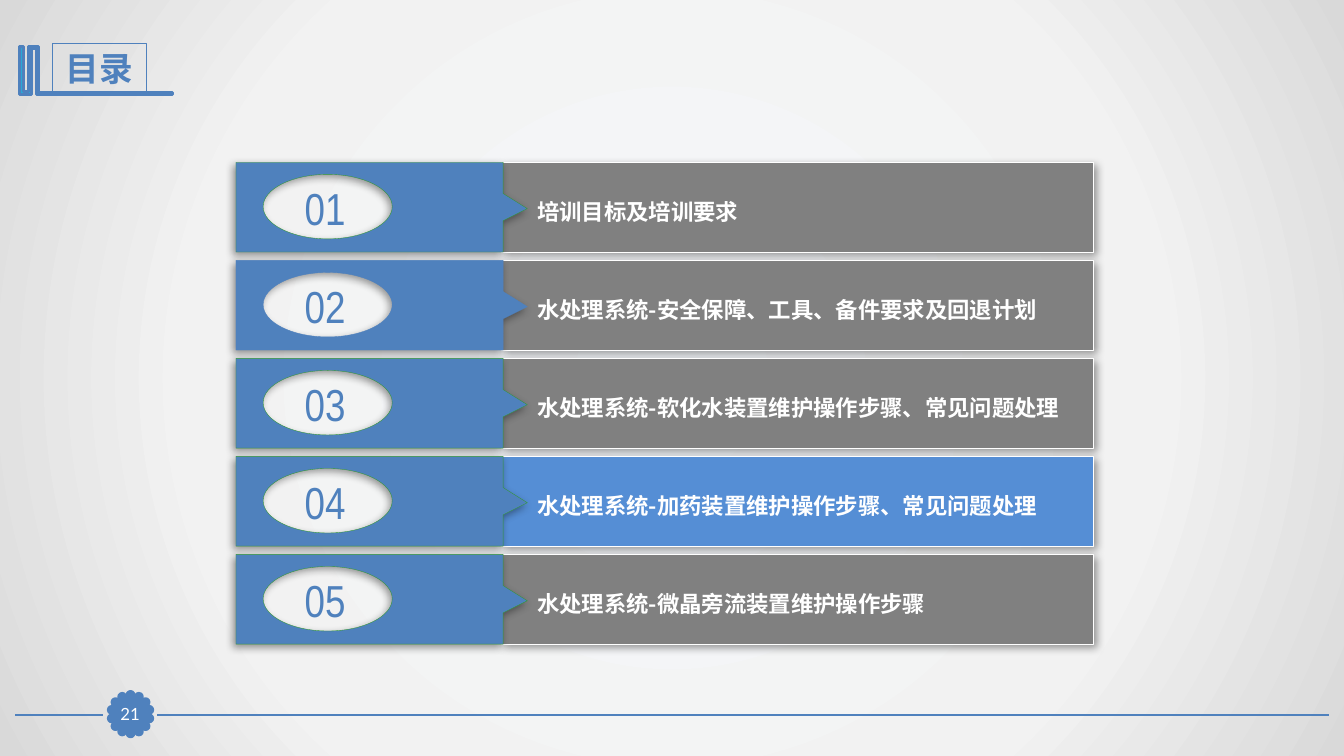
from dataclasses import dataclass
from math import cos, pi, sin
from typing import Any

from pptx import Presentation
from pptx.dml.color import RGBColor as Color
from pptx.enum.shapes import MSO_CONNECTOR as Link, MSO_SHAPE as Kind
from pptx.enum.text import MSO_ANCHOR as Anchor, MSO_AUTO_SIZE as Fit, PP_ALIGN as Align
from pptx.oxml import parse_xml
from pptx.oxml.ns import nsdecls, qn
from pptx.util import Inches, Pt

Point = tuple[float, float]


@dataclass(frozen=True)
class Theme:
    """Colours, fonts and type sizes."""
    blue: str = "4F81BD"
    glow: str = "558ED5"
    gray: str = "808080"
    green: str = "339933"
    cyan: str = "28A9D6"
    white: str = "FFFFFF"
    back: tuple = ((0, "F6F9FC"), (63, "F2F2F2"), (100, "D9D9D9"))
    slim: str = "Arial Narrow"
    sans: str = "Lato"
    asian: str = "Noto Sans CJK SC"
    title: int = 24
    digit: int = 32
    body: int = 16
    page: int = 12


@dataclass(frozen=True)
class Row:
    """One entry of the contents list."""
    lead: str
    rest: str
    fill: str
    edge: str


@dataclass(frozen=True)
class Run:
    """A piece of text with its look."""
    text: str
    face: str
    size: int
    tint: str
    bold: bool = False


T = Theme()
ROWS = (
    Row("", "培训目标及培训要求", T.gray, T.green),
    Row("水处理系统-", "安全保障、工具、备件要求及回退计划", T.gray, T.blue),
    Row("水处理系统-软化水装置", "维护操作步骤、常见问题处理", T.gray, T.green),
    Row("水处理系统-加药装置", "维护操作步骤、常见问题处理", T.glow, T.green),
    Row("水处理系统-微晶旁流装置", "维护操作步骤", T.gray, T.green),
)
FIRST, LAST = 1.61, 5.5
STEP = (LAST - FIRST) / (len(ROWS) - 1)
HIGH = 0.89
BOOK = (
    (0.37, 0.46), (0.38, 0.46), (0.38, 0.92), (1.71, 0.92), (1.71, 0.94), (0.37, 0.94), (0.36, 0.94),
    (0.36, 0.48), (0.31, 0.48), (0.31, 0.94), (0.19, 0.94), (0.19, 0.46), (0.23, 0.46),
    (0.23, 0.91), (0.28, 0.91), (0.28, 0.46),
)
OVAL = (
    (0, -1), (-0.55, -1), (-1, -0.55), (-1, 0), (-1, 0.55), (-0.55, 1), (0, 1),
    (0.55, 1), (1, 0.55), (1, 0), (1, -0.55), (0.55, -1), (0, -1),
)
FLAG = ((2.34, 0), (4.99, 0), (4.99, 0.31), (5.23, 0.46), (4.99, 0.58), (4.99, HIGH), (2.34, HIGH))
PETALS = 14
HUB = (1.29, 7.08)


def apply(item: Any, look: dict[str, Any]) -> None:
    """Set every attribute named in the look."""
    for name, value in look.items():
        setattr(item, name, value)


def paint(shape: Any, fill: str | None, edge: str, width: float, angle: int | None = None) -> None:
    """Set fill, outline and an optional soft shadow."""
    if fill:
        shape.fill.solid()
        shape.fill.fore_color.rgb = Color.from_string(fill)
    else:
        shape.fill.background()
    shape.line.color.rgb = Color.from_string(edge)
    shape.line.width = Pt(width)
    shape.shadow.inherit = False
    if angle is not None:
        shape._element.spPr.find(qn("a:effectLst")).append(parse_xml(
            f'<a:outerShdw {nsdecls("a")} blurRad="{Pt(6)}" dist="{Pt(3)}" dir="{angle * 60000}" '
            'algn="ctr" rotWithShape="0"><a:srgbClr val="000000"><a:alpha val="40000"/>'
            '</a:srgbClr></a:outerShdw>'))


def write(shape: Any, runs: list[Run], align: Align, look: dict[str, Any]) -> None:
    """Fill a shape with one paragraph of styled runs."""
    frame = shape.text_frame
    apply(frame, {"word_wrap": True} | look)
    para = frame.paragraphs[0]
    para.alignment = align
    for part in runs:
        run = para.add_run()
        run.text = part.text
        apply(run.font, {"name": part.face, "size": Pt(part.size), "bold": part.bold})
        run.font.color.rgb = Color.from_string(part.tint)
        run.font._element.find(qn("a:latin")).addnext(
            parse_xml(f'<a:ea {nsdecls("a")} typeface="{T.asian}"/>'))


def box(shapes: Any, kind: Kind, *place: float) -> Any:
    """Add a preset shape at a place in inches."""
    return shapes.add_shape(kind, *map(Inches, place))


def label(shapes: Any, *place: float) -> Any:
    """Add a text box at a place in inches."""
    return shapes.add_textbox(*map(Inches, place))


def trace(shapes: Any, *loops: tuple[Point, ...]) -> Any:
    """Build a closed outline from loops of points."""
    pens = [[(Inches(x), Inches(y)) for x, y in loop] for loop in loops]
    form = shapes.build_freeform(*pens[0][0])
    for turn, pen in enumerate(pens):
        if turn:
            form.move_to(*pen[0])
        form.add_line_segments(pen[1:], close=False)
        form._add_close()
    return form.convert_to_shape()


def bend(shape: Any, count: int) -> None:
    """Turn the first count line steps into curves of three points."""
    steps = list(shape._element.iter(qn("a:lnTo")))[:count]
    for start in range(0, count, 3):
        curve = parse_xml(f'<a:cubicBezTo {nsdecls("a")}/>')
        steps[start].addprevious(curve)
        for step in steps[start:start + 3]:
            curve.append(step[0])
            step.getparent().remove(step)


def rule(shapes: Any, left: float, right: float, top: float, tint: str, width: float) -> None:
    """Draw a level line."""
    line = shapes.add_connector(Link.STRAIGHT, *map(Inches, (left, top, right, top)))
    line.line.color.rgb = Color.from_string(tint)
    line.line.width = Pt(width)
    line._element.spPr.append(parse_xml(f'<a:effectLst {nsdecls("a")}/>'))


def entry(shapes: Any, index: int, row: Row) -> None:
    """Draw one numbered row of the list."""
    top = FIRST + STEP * index
    group = shapes.add_group_shape().shapes
    paint(box(group, Kind.RECTANGLE, 4.97, top, 5.87, HIGH), row.fill, T.white, 0.25, 45)
    hole = tuple((3.25 + 0.64 * x, top + 0.44 + 0.32 * y) for x, y in OVAL)
    tab = trace(group, hole, tuple((x, top + y) for x, y in FLAG))
    bend(tab, len(OVAL) - 1)
    paint(tab, T.blue, row.edge, 0.25, 135)
    grow = {"auto_size": Fit.SHAPE_TO_FIT_TEXT}
    write(label(group, 2.72, top + 0.13, 1.01, 0.64),
          [Run(f"{index + 1:02}", T.slim, T.digit, T.blue)], Align.CENTER,
          grow | {"vertical_anchor": Anchor.MIDDLE})
    parts = [Run(text, face, T.body, T.white, True)
             for text, face in ((row.lead, T.asian), (row.rest, T.sans)) if text]
    write(label(group, 5.23, top + 0.31, 5.61, 0.37), parts, Align.LEFT, grow)


def badge(shapes: Any) -> None:
    """Draw the footer line and the page badge."""
    for left, right in ((13.18, 1.56), (1.02, 0.15)):
        rule(shapes, left, right, 7.09, T.blue, 1.25)
    group = shapes.add_group_shape().shapes
    for turn in range(PETALS):
        angle = 2 * pi * turn / PETALS
        x, y = HUB[0] + 0.19 * sin(angle), HUB[1] - 0.19 * cos(angle)
        paint(box(group, Kind.OVAL, x - 0.03, y - 0.03, 0.07, 0.07), T.blue, T.blue, 2)
    core = box(shapes, Kind.RECTANGLE, 1.13, 6.93, 0.32, 0.31)
    paint(core, T.blue, T.blue, 0.75)
    flat = dict.fromkeys(("margin_left", "margin_top", "margin_right", "margin_bottom"), 0)
    write(core, [Run("21", T.sans, T.page, T.white)], Align.CENTER,
          flat | {"vertical_anchor": Anchor.MIDDLE})


def header(shapes: Any) -> None:
    """Draw the book mark and the framed title."""
    paint(trace(shapes, BOOK), T.cyan, T.blue, 2)
    frame = box(shapes, Kind.RECTANGLE, 0.52, 0.43, 0.93, 0.5)
    paint(frame, None, T.blue, 0.75)
    write(frame, [Run("目录", T.slim, T.title, T.blue, True)], Align.CENTER,
          {"vertical_anchor": Anchor.MIDDLE, "auto_size": Fit.SHAPE_TO_FIT_TEXT})


def shade(slide: Any) -> None:
    """Give the slide a round gradient."""
    stops = "".join(f'<a:gs pos="{at * 1000}"><a:srgbClr val="{tint}"/></a:gs>' for at, tint in T.back)
    slide._element.cSld.insert(0, parse_xml(
        f'<p:bg {nsdecls("p", "a")}><p:bgPr><a:gradFill rotWithShape="1"><a:gsLst>{stops}</a:gsLst>'
        '<a:path path="circle"><a:fillToRect l="50000" t="50000" r="50000" b="50000"/></a:path>'
        '</a:gradFill><a:effectLst/></p:bgPr></p:bg>'))


def main() -> None:
    """Build the contents slide and save it."""
    deck = Presentation()
    apply(deck, {"slide_width": Inches(13.33), "slide_height": Inches(7.5)})
    slide = deck.slides.add_slide(deck.slide_layouts[6])
    shade(slide)
    badge(slide.shapes)
    header(slide.shapes)
    rule(slide.shapes, 5.33, 7.37, 2.5, T.white, 1.5)
    for index, row in enumerate(ROWS):
        entry(slide.shapes, index, row)
    deck.save("out.pptx")


if __name__ == "__main__":
    main()
